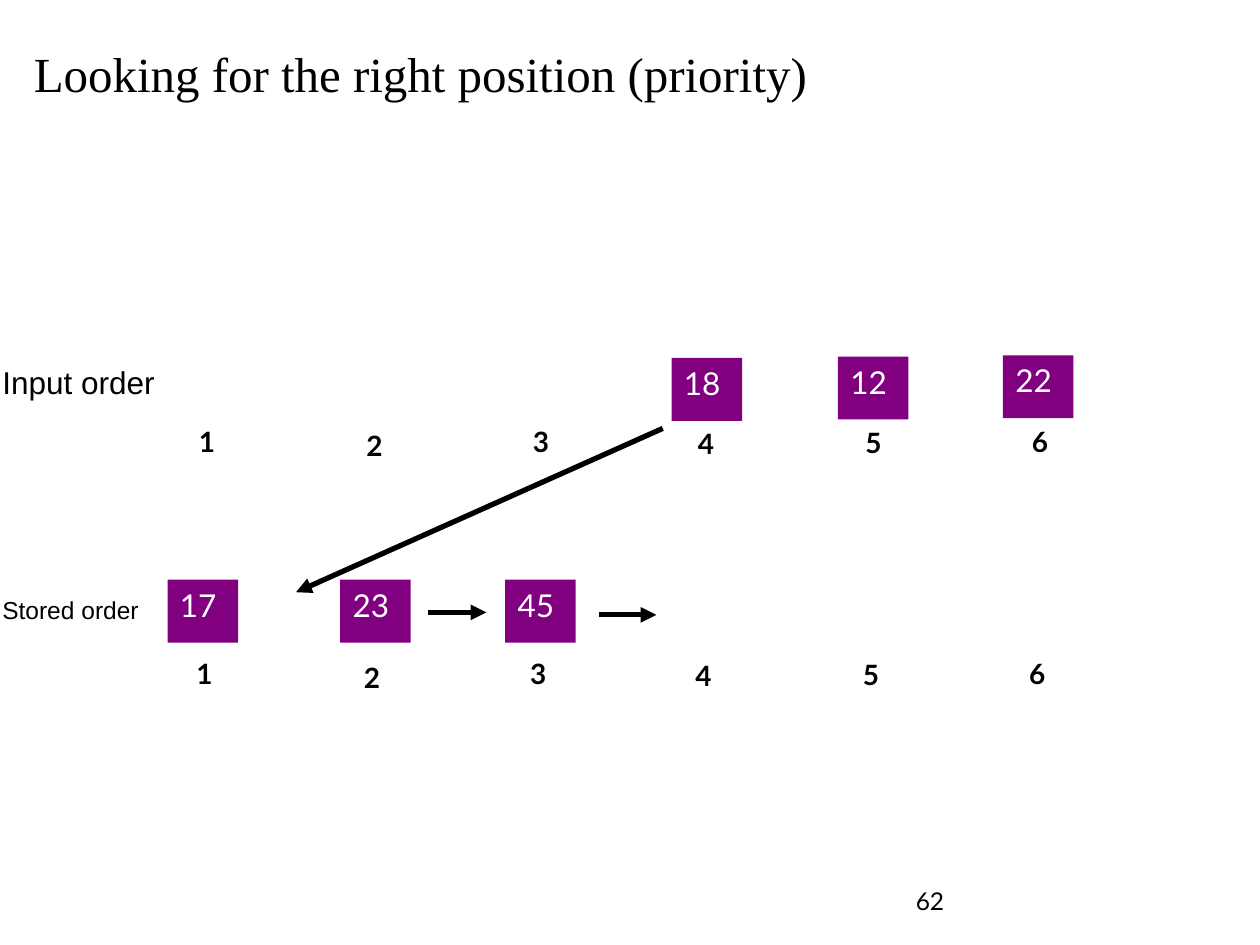
import pptx
import pptx.util
import pptx.dml.color
import pptx.enum.shapes
import pptx.enum.text
import pptx.oxml.ns
import lxml.etree

Inches = pptx.util.Inches
Pt = pptx.util.Pt
PURPLE = pptx.dml.color.RGBColor(0x80, 0x00, 0x80)
WHITE = pptx.dml.color.RGBColor(0xFF, 0xFF, 0xFF)
BLACK = pptx.dml.color.RGBColor(0x00, 0x00, 0x00)


def write(sp, text, size, font="Lato", color=BLACK, bold=False, wrap=True):
    tf = sp.text_frame
    tf.word_wrap = wrap
    tf.vertical_anchor = pptx.enum.text.MSO_ANCHOR.TOP
    p = tf.paragraphs[0]
    p.alignment = pptx.enum.text.PP_ALIGN.LEFT
    r = p.add_run()
    r.text = text
    r.font.size = Pt(size)
    r.font.name = font
    r.font.bold = bold
    r.font.color.rgb = color


def add_text(left, top, width, height, text, size, **style):
    box = s.shapes.add_textbox(Inches(left), Inches(top), Inches(width), Inches(height))
    write(box, text, size, **style)


prs = pptx.Presentation()
prs.slide_width = Inches(10)
prs.slide_height = Inches(7.5)
s = prs.slides.add_slide(prs.slide_layouts[6])

# Queue items
items = [
    ("17", 1.33, 4.6), ("23", 2.7, 4.6), ("45", 4.01, 4.6),
    ("18", 5.33, 2.84), ("12", 6.65, 2.83), ("22", 7.96, 2.82),
]
for value, left, top in items:
    sp = s.shapes.add_shape(pptx.enum.shapes.MSO_SHAPE.RECTANGLE,
                            Inches(left), Inches(top), Inches(0.56), Inches(0.5))
    sp.shadow.inherit = False
    sp.fill.solid()
    sp.fill.fore_color.rgb = PURPLE
    sp.line.fill.background()
    write(sp, value, 18, color=WHITE)

# Position numbers: the stored row repeats the input row, shifted
positions = [(1.48, 3.32), (2.81, 3.35), (4.13, 3.32), (5.44, 3.34), (6.77, 3.33), (8.09, 3.32)]
for dx, dy in [(0, 0), (-0.02, 1.84)]:
    for number, (left, top) in enumerate(positions, 1):
        add_text(left + dx, top + dy, 0.31, 0.37, str(number), 16, bold=True, wrap=False)

# Arrows: insertion, then the two shifts to the right
arrows = [(5.26, 3.4, 2.35, 4.7), (3.4, 4.86, 3.86, 4.86), (4.75, 4.88, 5.21, 4.88)]
for ends in arrows:
    arrow = s.shapes.add_connector(pptx.enum.shapes.MSO_CONNECTOR.STRAIGHT,
                                   *[Inches(v) for v in ends])
    arrow.line.color.rgb = BLACK
    arrow.line.width = Pt(3)
    ln = arrow.line._get_or_add_ln()
    lxml.etree.SubElement(ln, pptx.oxml.ns.qn("a:tailEnd"), type="triangle")
    lxml.etree.SubElement(arrow._element.spPr, pptx.oxml.ns.qn("a:effectLst"))

add_text(0.17, 0.3, 9.67, 0.87, "Looking for the right position (priority)", 28,
         font="Times New Roman")
add_text(7.17, 6.98, 2.33, 0.52, "62", 14)
add_text(-0.08, 2.83, 1.42, 0.4, "Input order", 18, font="Arial", wrap=False)
add_text(-0.08, 4.67, 1.3, 0.34, "Stored order", 14, font="Arial", wrap=False)

prs.save("out.pptx")
